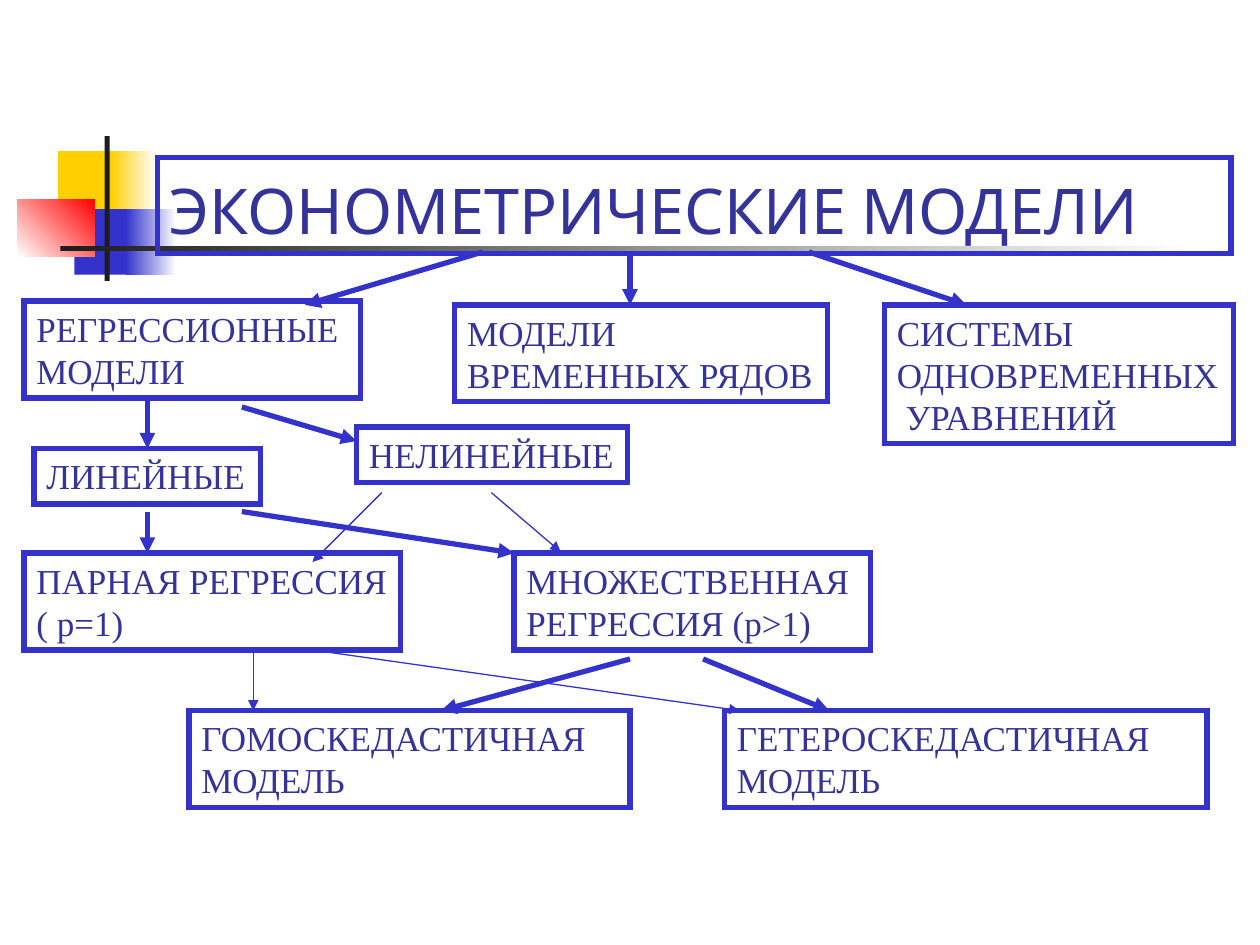
from typing import NamedTuple, Optional

from lxml import etree
from pptx import Presentation
from pptx.dml.color import RGBColor
from pptx.enum.shapes import MSO_CONNECTOR as CONN, MSO_SHAPE as SHAPE
from pptx.enum.text import MSO_ANCHOR as ANCHOR, MSO_AUTO_SIZE as AUTO, PP_ALIGN as ALIGN
from pptx.oxml.ns import qn
from pptx.util import Inches, Pt

COLORS = {
    "yellow": "FFCF01",
    "blue": "3333CC",
    "red": "FF0000",
    "black": "1C1C1C",
    "white": "FFFFFF",
    "text": "333399",
}
TITLE_FONT, BODY_FONT = "Cabin", "Times New Roman"
THICK, THIN = 3, 0.75


class Block(NamedTuple):
    left: float
    top: float
    width: float
    height: float
    color: str
    fade_to: Optional[str] = None
    angle: int = 0


class Box(NamedTuple):
    left: float
    top: float
    width: float
    height: float
    text: str
    wrap: bool = False
    font: str = BODY_FONT
    size: int = 20
    anchor: ANCHOR = ANCHOR.TOP
    auto_size: AUTO = AUTO.SHAPE_TO_FIT_TEXT


class Arrow(NamedTuple):
    x1: float
    y1: float
    x2: float
    y2: float
    width: float = THICK
    target: Optional[str] = None  # box whose top middle the arrow joins


def rgb(name: str) -> RGBColor:
    return RGBColor.from_string(COLORS[name])


def add_rect(slide, item):
    sp = slide.shapes.add_shape(
        SHAPE.RECTANGLE, Inches(item.left), Inches(item.top),
        Inches(item.width), Inches(item.height))
    sp.shadow.inherit = False
    return sp


def draw_block(slide, block: Block) -> None:
    sp = add_rect(slide, block)
    sp.line.fill.background()
    if block.fade_to is None:
        sp.fill.solid()
        sp.fill.fore_color.rgb = rgb(block.color)
        return
    sp.fill.gradient()
    sp.fill.gradient_angle = block.angle
    for stop, name in zip(sp.fill.gradient_stops, (block.color, block.fade_to)):
        stop.color.rgb = rgb(name)


def draw_box(slide, box: Box):
    sp = add_rect(slide, box)
    sp.fill.background()
    sp.line.color.rgb = rgb("blue")
    sp.line.width = Pt(THICK)
    # Square outline corners
    etree.SubElement(sp.line._get_or_add_ln(), qn("a:miter"), lim="800000")
    tf = sp.text_frame
    tf.word_wrap = box.wrap
    tf.auto_size = box.auto_size
    tf.vertical_anchor = box.anchor
    p = tf.paragraphs[0]
    p.text = box.text
    p.alignment = ALIGN.LEFT
    p.font.name = box.font
    p.font.size = Pt(box.size)
    p.font.color.rgb = rgb("text")
    return sp


def draw_arrow(slide, arrow: Arrow, boxes: dict) -> None:
    c = slide.shapes.add_connector(
        CONN.STRAIGHT, Inches(arrow.x1), Inches(arrow.y1),
        Inches(arrow.x2), Inches(arrow.y2))
    if arrow.target:
        c.end_connect(boxes[arrow.target], 0)
    c.line.color.rgb = rgb("blue")
    c.line.width = Pt(arrow.width)
    etree.SubElement(c.line._get_or_add_ln(), qn("a:tailEnd"), type="triangle")
    etree.SubElement(c._element.spPr, qn("a:effectLst"))


BLOCKS = [
    Block(0.46, 1.2, 0.48, 0.52, "yellow"),
    Block(0.88, 1.2, 0.36, 0.52, "yellow", "white"),
    Block(0.59, 1.66, 0.46, 0.52, "blue"),
    Block(1, 1.66, 0.4, 0.52, "blue", "white"),
    Block(0.14, 1.58, 0.61, 0.46, "white", "red", 45),
    Block(0.83, 1.08, 0.04, 1.15, "black"),
    Block(0.48, 1.95, 9, 0.04, "black", "white"),
]

ONE_LINE, TWO_LINES, THREE_LINES = 0.44, 0.77, 1.1
BOXES = [
    Box(1.25, 1.25, 8.52, 0.76, "ЭКОНОМЕТРИЧЕСКИЕ МОДЕЛИ", True,
        TITLE_FONT, 36, ANCHOR.BOTTOM, AUTO.NONE),
    Box(0.19, 2.39, 2.67, TWO_LINES, "РЕГРЕССИОННЫЕ \nМОДЕЛИ"),
    Box(3.61, 2.42, 2.96, TWO_LINES, "МОДЕЛИ \nВРЕМЕННЫХ РЯДОВ"),
    Box(7.02, 2.42, 2.77, THREE_LINES, "СИСТЕМЫ \nОДНОВРЕМЕННЫХ\n УРАВНЕНИЙ"),
    Box(0.27, 3.56, 1.8, ONE_LINE, "ЛИНЕЙНЫЕ"),
    Box(2.83, 3.39, 2.15, ONE_LINE, "НЕЛИНЕЙНЫЕ"),
    Box(0.19, 4.39, 2.99, TWO_LINES, "ПАРНАЯ РЕГРЕССИЯ\n( p=1)"),
    Box(1.5, 5.64, 3.5, TWO_LINES, "ГОМОСКЕДАСТИЧНАЯ\nМОДЕЛЬ", True),
    Box(4.08, 4.39, 2.83, TWO_LINES, "МНОЖЕСТВЕННАЯ РЕГРЕССИЯ (p>1)", True),
    Box(5.75, 5.64, 3.83, TWO_LINES, "ГЕТЕРОСКЕДАСТИЧНАЯ\nМОДЕЛЬ", True),
]

ARROWS = [
    # Title to the three model classes
    Arrow(3.83, 2, 2.42, 2.42),
    Arrow(5, 2, 5, 2.42),
    Arrow(6.42, 2, 7.67, 2.42),
    # Regression models to linear and nonlinear
    Arrow(1.17, 3.14, 1.17, 3.56, target="ЛИНЕЙНЫЕ"),
    Arrow(1.92, 3.23, 2.83, 3.5),
    # Linear to paired and multiple regression
    Arrow(1.17, 4.06, 1.17, 4.39),
    Arrow(1.92, 4.06, 4.08, 4.39),
    # Multiple regression to the variance models
    Arrow(5, 5.23, 3.5, 5.64),
    Arrow(5.58, 5.23, 6.58, 5.64),
    # Nonlinear to paired and multiple regression
    Arrow(3.03, 3.91, 2.48, 4.46, THIN),
    Arrow(3.9, 3.91, 4.45, 4.38, THIN),
    # Paired regression to the variance models
    Arrow(2.01, 5.17, 2.01, 5.64, THIN),
    Arrow(2.56, 5.17, 5.87, 5.64, THIN),
]


def main() -> None:
    prs = Presentation()
    prs.slide_width, prs.slide_height = Inches(10), Inches(7.5)
    slide = prs.slides.add_slide(prs.slide_layouts[6])

    # Corner decoration
    for block in BLOCKS:
        draw_block(slide, block)

    # Title and model boxes, then the arrows between them
    boxes = {box.text: draw_box(slide, box) for box in BOXES}
    for arrow in ARROWS:
        draw_arrow(slide, arrow, boxes)

    prs.save("out.pptx")


if __name__ == "__main__":
    main()
